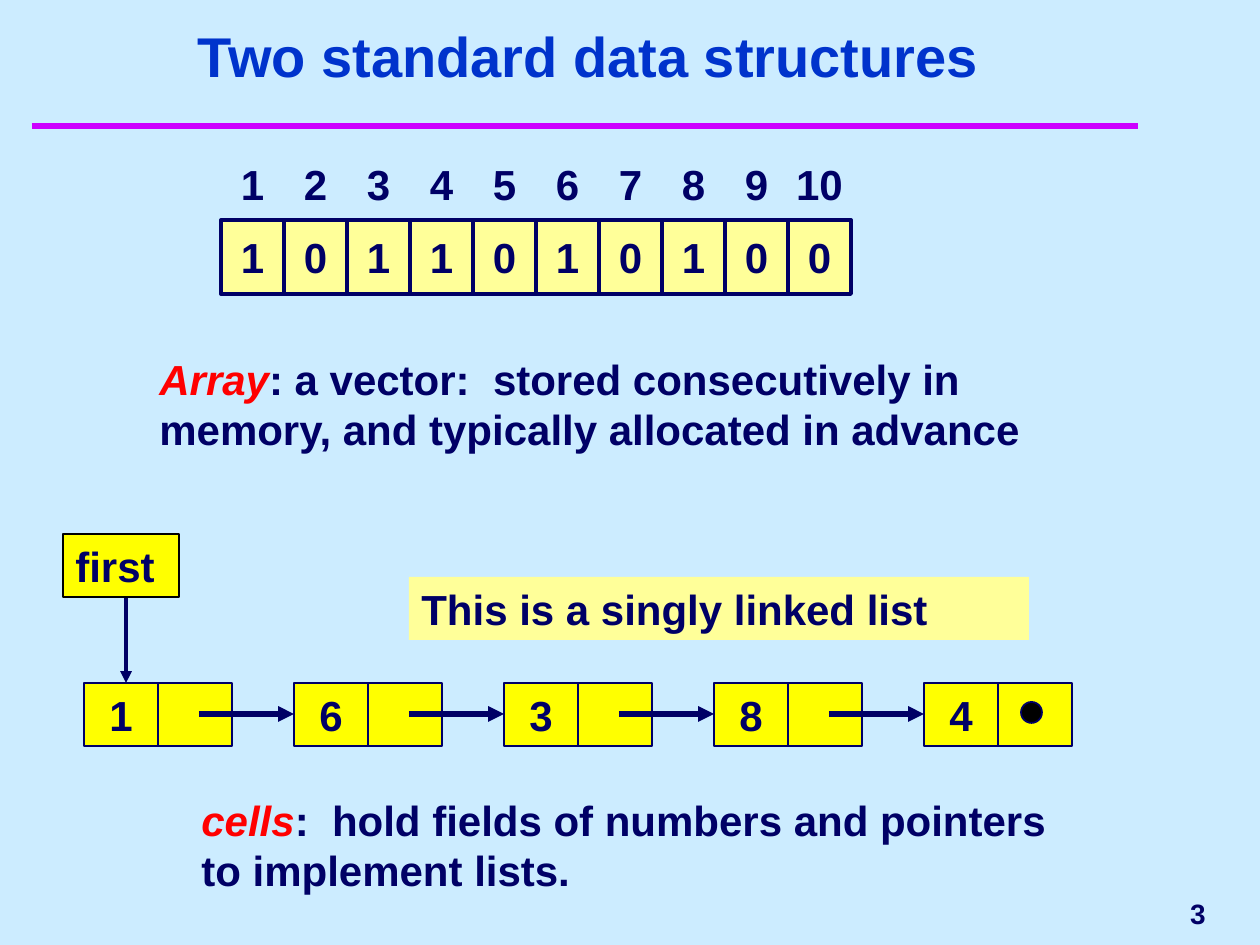
import pptx
import pptx.dml.color
import pptx.enum.shapes
import pptx.enum.text
import pptx.oxml
import pptx.oxml.ns
import pptx.util
from dataclasses import dataclass

TITLE = "Two standard data structures"
PAGE_NUMBER = "3"
ARRAY_VALUES = [1, 0, 1, 1, 0, 1, 0, 1, 0, 0]
LIST_VALUES = [1, 6, 3, 8, 4]
HEAD_LABEL = "first"
LIST_CAPTION = "This is a singly linked list"
DEFINITIONS = [
    ("Array", ": a vector:  stored consecutively in memory, and typically allocated in advance", (147, 347, 955, 113)),
    ("cells", ":  hold fields of numbers and pointers to implement lists.", (189, 788, 914, 113)),
]


@dataclass(frozen=True)
class Theme:
    font: str = "Arial"
    background: str = "CCECFF"
    title: str = "0033CC"
    text: str = "000066"
    term: str = "FF0000"
    rule: str = "CC00FF"
    pale: str = "FFFF99"
    bright: str = "FFFF00"
    black: str = "000000"
    title_size: int = 32
    body_size: int = 24
    number_size: int = 16


THEME = Theme()
EMU_PER_PX = 914400 / 126
ANCHOR = pptx.enum.text.MSO_ANCHOR
ALIGN = pptx.enum.text.PP_ALIGN
SHAPE = pptx.enum.shapes.MSO_SHAPE


def px(*lengths):
    return [round(length * EMU_PER_PX) for length in lengths]


def rgb(color):
    return pptx.dml.color.RGBColor.from_string(color)


def write(box, text, size=THEME.body_size, color=THEME.text, align=ALIGN.CENTER,
          anchor=ANCHOR.MIDDLE, wrap=False, term=None):
    frame = box.text_frame
    frame.auto_size = pptx.enum.text.MSO_AUTO_SIZE.NONE
    frame.word_wrap = wrap
    frame.vertical_anchor = anchor
    para = frame.paragraphs[0]
    para.alignment = align
    para.font.name = THEME.font
    para.font.size = pptx.util.Pt(size)
    para.font.bold = True
    para.font.color.rgb = rgb(color)
    if term:
        span = para.add_run()
        span.text = term
        span.font.italic = True
        span.font.color.rgb = rgb(THEME.term)
    para.add_run().text = text


def add_box(shapes, bounds, fill, line=None, width=1.0, kind=SHAPE.RECTANGLE):
    box = shapes.add_shape(kind, *px(*bounds))
    box.shadow.inherit = False
    box.fill.solid()
    box.fill.fore_color.rgb = rgb(fill)
    if line:
        box.line.color.rgb = rgb(line)
        box.line.width = pptx.util.Pt(width)
    else:
        box.line.fill.background()
    return box


def add_line(shapes, ends, color, width, arrow=False):
    line = shapes.add_connector(pptx.enum.shapes.MSO_CONNECTOR.STRAIGHT, *px(*ends))
    line.line.color.rgb = rgb(color)
    line.line.width = pptx.util.Pt(width)
    if arrow:
        head = pptx.oxml.parse_xml(f'<a:tailEnd {pptx.oxml.ns.nsdecls("a")} type="triangle"/>')
        line.line._get_or_add_ln().append(head)
    line._element.spPr.append(pptx.oxml.parse_xml(f'<a:effectLst {pptx.oxml.ns.nsdecls("a")}/>'))


def add_array(page):
    left, index_top, value_top, width, height = 221, 147, 220, 63, 74
    shapes = page.shapes.add_group_shape().shapes
    for position, value in enumerate(ARRAY_VALUES):
        x = left + position * width
        cell = add_box(shapes, (x, value_top, width, height), THEME.pale, THEME.text, 2.25)
        write(cell, str(value))
        label = shapes.add_textbox(*px(x, index_top, width, height))
        write(label, str(position + 1))


def add_linked_list(page):
    left, top, width, height, pitch = 84, 683, 74, 63, 210
    middle = top + height // 2
    shapes = page.shapes.add_group_shape().shapes
    for position, value in enumerate(LIST_VALUES):
        x = left + position * pitch
        write(add_box(shapes, (x, top, width, height), THEME.bright, THEME.text), str(value))
        add_box(shapes, (x + width, top, width, height), THEME.bright, THEME.text)
        if position < len(LIST_VALUES) - 1:
            add_line(shapes, (x + 115, middle, x + pitch, middle), THEME.text, 3, arrow=True)
        else:
            add_box(shapes, (x + 97, top + 19, 21, 21), THEME.black, THEME.text, kind=SHAPE.OVAL)

    head = add_box(shapes, (63, 534, 116, 63), THEME.bright, THEME.black)
    write(head, HEAD_LABEL, align=ALIGN.LEFT, anchor=ANCHOR.TOP, wrap=True)
    add_line(shapes, (126, 598, 126, top), THEME.text, 2.25, arrow=True)


def main():
    deck = pptx.Presentation()
    deck.slide_width, deck.slide_height = px(1260, 945)
    page = deck.slides.add_slide(deck.slide_layouts[5])
    page.background.fill.solid()
    page.background.fill.fore_color.rgb = rgb(THEME.background)

    title = page.shapes.title
    title.left, title.top, title.width, title.height = px(53, 42, 1071, 53)
    write(title, TITLE, THEME.title_size, THEME.title, anchor=ANCHOR.BOTTOM, wrap=True)
    add_line(page.shapes, (32, 126, 1138, 126), THEME.rule, 4)

    add_array(page)
    for term, meaning, bounds in DEFINITIONS:
        box = page.shapes.add_textbox(*px(*bounds))
        write(box, meaning, align=ALIGN.LEFT, anchor=ANCHOR.TOP, wrap=True, term=term)
    add_linked_list(page)

    caption = add_box(page.shapes, (409, 577, 620, 63), THEME.pale)
    write(caption, LIST_CAPTION, align=ALIGN.LEFT, anchor=ANCHOR.TOP, wrap=True)
    number = page.shapes.add_textbox(*px(976, 882, 242, 63))
    write(number, PAGE_NUMBER, THEME.number_size, align=ALIGN.RIGHT)
    deck.save("out.pptx")


if __name__ == "__main__":
    main()
